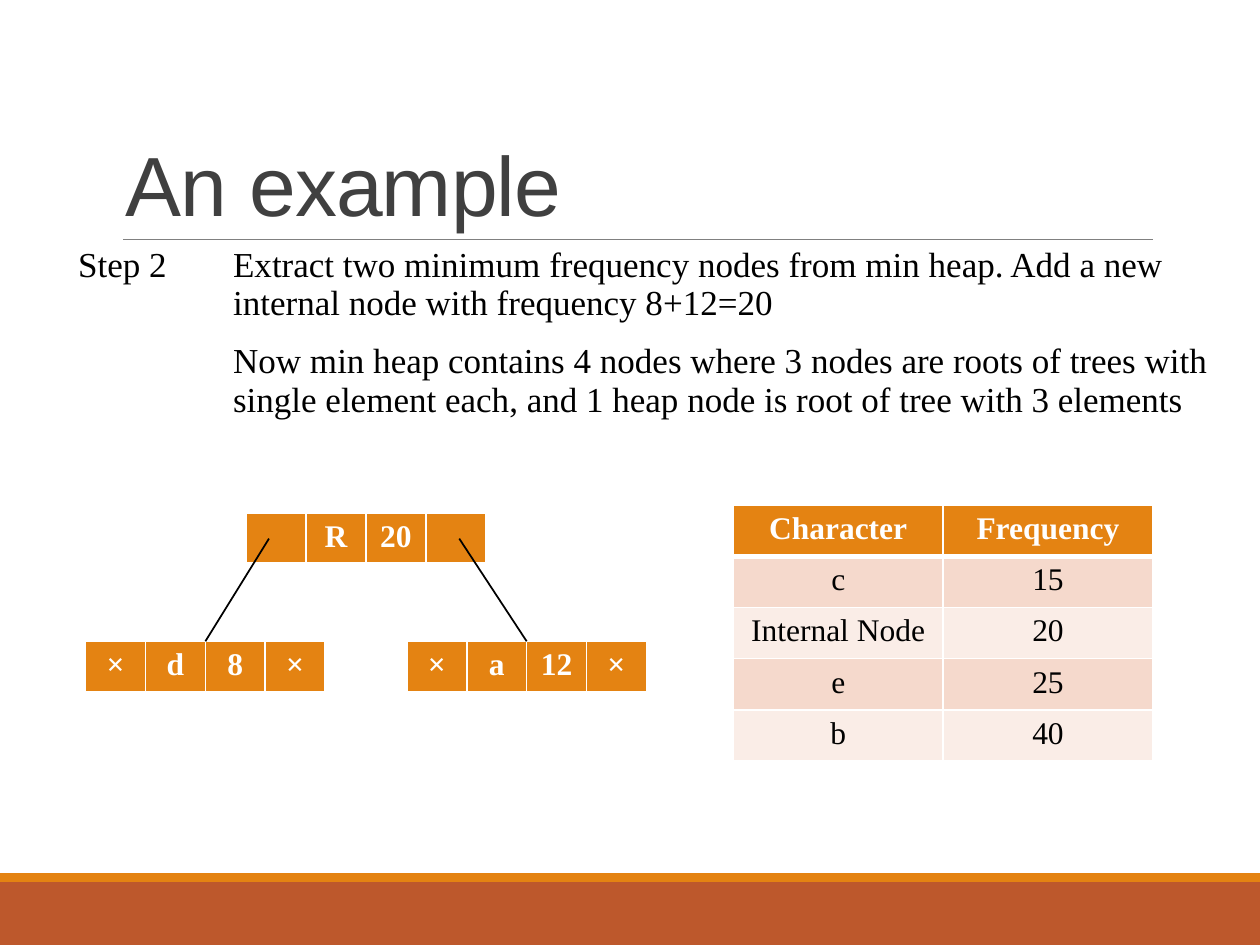
from dataclasses import dataclass

from lxml import etree
from pptx import Presentation
from pptx.dml.color import RGBColor
from pptx.enum.shapes import MSO_CONNECTOR, MSO_SHAPE
from pptx.enum.text import MSO_ANCHOR, PP_ALIGN
from pptx.oxml.ns import qn
from pptx.util import Inches, Pt

LINE = MSO_CONNECTOR.STRAIGHT
RECTANGLE = MSO_SHAPE.RECTANGLE
BOTTOM = MSO_ANCHOR.BOTTOM
LEFT, CENTER = PP_ALIGN.LEFT, PP_ALIGN.CENTER
WIDTH, HEIGHT = 10, 7.5
ROW = 0.41


@dataclass(frozen=True)
class Theme:
    heading: str = "Arial"
    body: str = "Times New Roman"
    title_size: int = 48
    step_size: int = 20
    table_size: int = 18
    title: str = "404040"
    rule: str = "808080"
    accent: str = "E48312"
    footer: str = "BD582C"
    bands: tuple = ("F5D9CC", "FAEDE7")
    light: str = "FFFFFF"
    dark: str = "000000"


@dataclass(frozen=True)
class Box:
    left: float
    top: float
    width: float
    height: float

    def inches(self):
        return [Inches(v) for v in (self.left, self.top, self.width, self.height)]


THEME = Theme()


def rgb(code):
    return RGBColor.from_string(code)


def add_text(para, text, font, size, color, bold=False):
    span = para.add_run()
    span.text = text
    span.font.name = font
    span.font.size = Pt(size)
    span.font.bold = bold
    span.font.color.rgb = rgb(color)
    return span


def add_line(page, start, end, color, width):
    line = page.shapes.add_connector(LINE, *(Inches(v) for v in (*start, *end)))
    line.line.color.rgb = rgb(color)
    line.line.width = Pt(width)
    etree.SubElement(line._element.spPr, qn("a:effectLst"))


def add_bar(page, box, color):
    bar = page.shapes.add_shape(RECTANGLE, *box.inches())
    bar.shadow.inherit = False
    bar.fill.solid()
    bar.fill.fore_color.rgb = rgb(color)
    bar.line.fill.background()


def set_borders(cell, color, widths):
    """Draw left, right, top and bottom borders; a zero width hides one."""
    props = cell._tc.get_or_add_tcPr()
    for index, (side, width) in enumerate(zip(("lnL", "lnR", "lnT", "lnB"), widths)):
        border = etree.Element(qn(f"a:{side}"), w=str(int(Pt(width))))
        if width:
            fill = etree.SubElement(border, qn("a:solidFill"))
            etree.SubElement(fill, qn("a:srgbClr"), val=color)
        else:
            etree.SubElement(border, qn("a:noFill"))
        props.insert(index, border)


def add_grid(page, box, rows, columns):
    """Add a plain table whose columns are given as shares of the box width."""
    table = page.shapes.add_table(rows, len(columns), *box.inches()).table
    table.first_row = table.horz_banding = False
    for column, share in zip(table.columns, columns):
        column.width = Inches(box.width * share / sum(columns))
    for row in table.rows:
        row.height = Inches(box.height / rows)
    return table


def fill_cell(cell, text, fill, color, size, align, bold, borders):
    if fill:
        cell.fill.solid()
        cell.fill.fore_color.rgb = rgb(fill)
    else:
        cell.fill.background()
    set_borders(cell, THEME.light, borders)
    para = cell.text_frame.paragraphs[0]
    para.alignment = align
    if text:
        add_text(para, text, THEME.body, size, color, bold)


def fill_header(cell, text):
    fill_cell(cell, text, THEME.accent, THEME.light, THEME.table_size,
              CENTER, True, (1, 1, 1, 3))


def add_footer(page, box):
    stripe = 0.07
    add_bar(page, box, THEME.footer)
    add_bar(page, Box(box.left, box.top - stripe, box.width, stripe), THEME.accent)


def add_title(page, box, text):
    bottom = box.top + box.height
    add_line(page, (box.left + 0.08, bottom), (box.left + box.width, bottom),
             THEME.rule, 0.5)
    frame = page.shapes.add_textbox(*box.inches()).text_frame
    frame.word_wrap = True
    frame.vertical_anchor = BOTTOM
    para = frame.paragraphs[0]
    para.line_spacing = 0.85
    span = add_text(para, text, THEME.heading, THEME.title_size, THEME.title)
    span.font._element.set("spc", "-50")


def add_steps(page, box, rows):
    table = add_grid(page, box, len(rows), (1.23, 7.99))
    for r, row in enumerate(rows):
        for c, text in enumerate(row):
            fill_cell(table.cell(r, c), text, None, THEME.dark, THEME.step_size,
                      LEFT, False, (0, 0, 0, 0))


def add_node(page, box, parts):
    table = add_grid(page, box, 1, (1,) * len(parts))
    for c, text in enumerate(parts):
        fill_header(table.cell(0, c), text)


def add_tree(page, box, root, children):
    """Place the root at the top centre and two children along the bottom."""
    node_width = 1.9
    child_top = box.top + box.height - ROW
    root_left = box.left + (box.width - node_width) / 2
    child_lefts = (box.left, box.left + box.width - node_width)
    for left, parts in zip(child_lefts, children):
        add_node(page, Box(left, child_top, node_width, ROW), parts)
    add_node(page, Box(root_left, box.top, node_width, ROW), root)
    pointers = (root_left + 0.18, root_left + node_width - 0.21)
    for pointer, left in zip(pointers, child_lefts):
        add_line(page, (pointer, box.top + ROW / 2),
                 (left + node_width / 2, child_top), THEME.dark, 1)


def add_frequencies(page, box, header, rows):
    table = add_grid(page, box, len(rows) + 1, (1, 1))
    for c, text in enumerate(header):
        fill_header(table.cell(0, c), text)
    for r, row in enumerate(rows):
        top = 1 if r else 3
        for c, text in enumerate(row):
            fill_cell(table.cell(r + 1, c), text, THEME.bands[r % 2], THEME.dark,
                      THEME.table_size, CENTER, False, (1, 1, top, 1))


def main():
    deck = Presentation()
    deck.slide_width, deck.slide_height = Inches(WIDTH), Inches(HEIGHT)
    page = deck.slides.add_slide(deck.slide_layouts[6])
    add_footer(page, Box(0, HEIGHT - 0.5, WIDTH, 0.5))
    add_title(page, Box(0.9, 0.31, 8.25, 1.59), "An example")
    add_steps(page, Box(0.52, 1.9, 9.22, 1.43), (
        ("Step 2", "Extract two minimum frequency nodes from min heap. "
                   "Add a new internal node with frequency 8+12=20"),
        ("", "Now min heap contains 4 nodes where 3 nodes are roots of trees with "
             "single element each, and 1 heap node is root of tree with 3 elements"),
    ))
    add_tree(page, Box(0.68, 4.07, 4.45, 1.43), ("", "R", "20", ""),
             (("×", "d", "8", "×"), ("×", "a", "12", "×")))
    add_frequencies(page, Box(5.82, 4.01, 3.33, 2.03), ("Character", "Frequency"),
                    (("c", "15"), ("Internal Node", "20"), ("e", "25"), ("b", "40")))
    deck.save("out.pptx")


if __name__ == "__main__":
    main()
